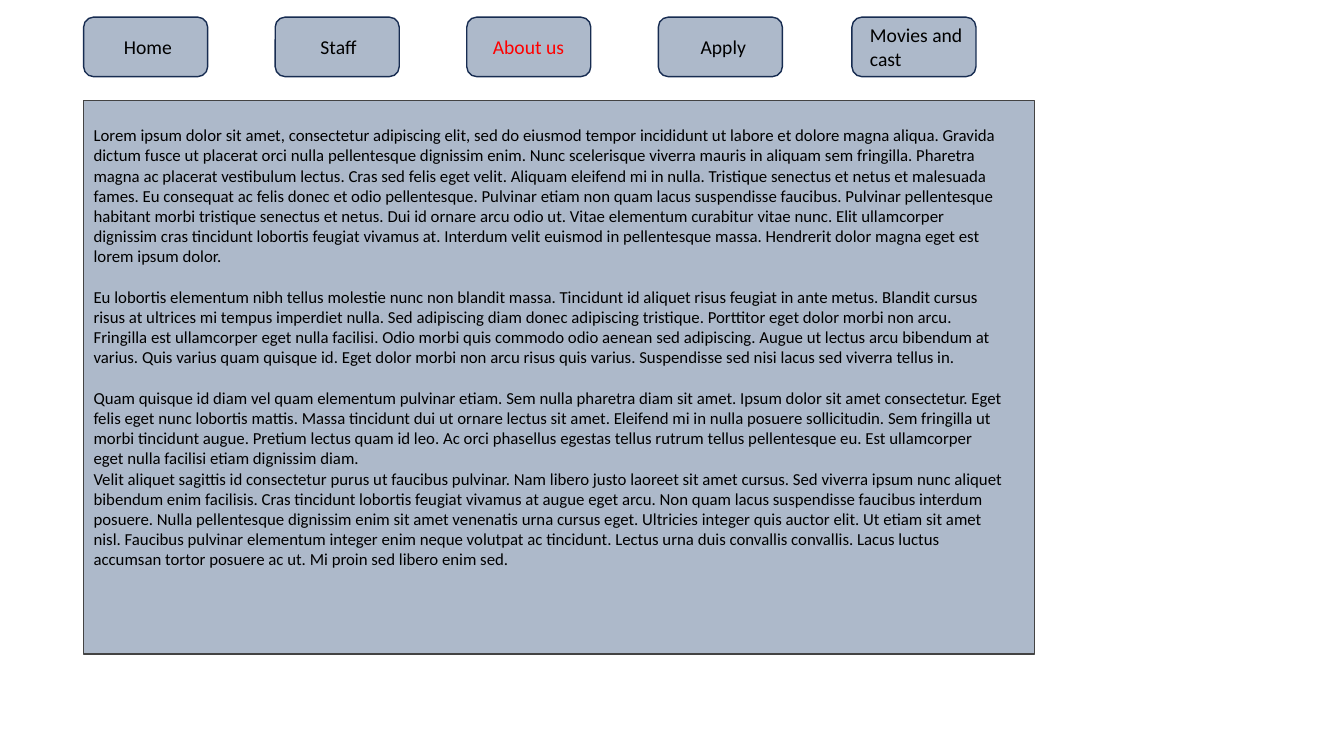
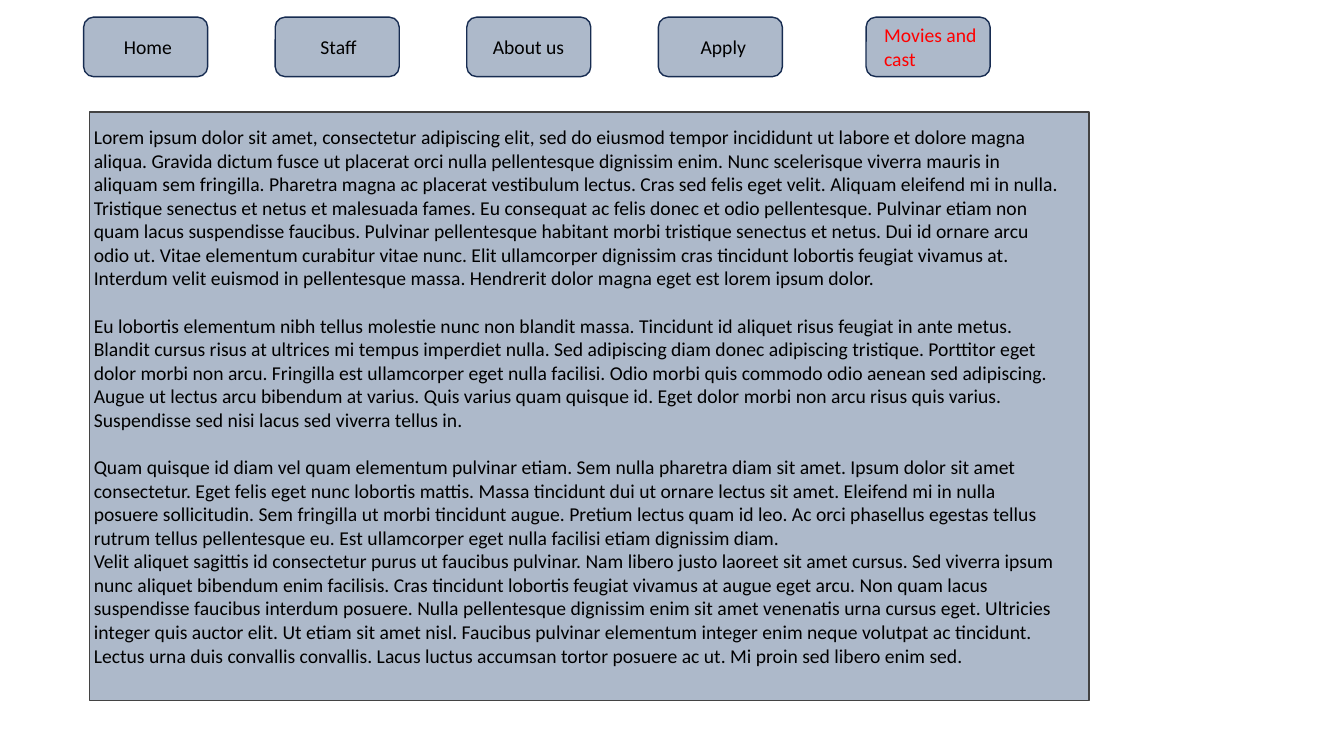
from pptx import Presentation
from pptx.dml.color import RGBColor
from pptx.enum.shapes import MSO_SHAPE
from pptx.enum.text import MSO_ANCHOR, PP_ALIGN
from pptx.util import Inches, Pt

RECT = MSO_SHAPE.RECTANGLE
ROUND = MSO_SHAPE.ROUNDED_RECTANGLE
TOP = MSO_ANCHOR.TOP
MIDDLE = MSO_ANCHOR.MIDDLE
LEFT = PP_ALIGN.LEFT

FILL = RGBColor(0xAD, 0xB9, 0xCA)
NAVY = RGBColor(0x17, 0x2C, 0x51)
GREY = RGBColor(0x43, 0x43, 0x43)
BLACK = RGBColor(0, 0, 0)
RED = RGBColor(0xFF, 0, 0)
FONT = "Calibri"

TABS = [
    ("Home", 0.37),
    ("Staff", 0.42),
    ("About us", 0.23),
    ("Apply", 0.39),
    ("Movies and cast", 0.15),
]
TAB_LEFT, TAB_STEP = 0.83, 1.9

FIRST = (
    "Lorem ipsum dolor sit amet, consectetur adipiscing elit, sed do eiusmod tempor "
    "incididunt ut labore et dolore magna aliqua. Gravida dictum fusce ut placerat orci "
    "nulla pellentesque dignissim enim. Nunc scelerisque viverra mauris in aliquam sem "
    "fringilla. Pharetra magna ac placerat vestibulum lectus. Cras sed felis eget velit. "
    "Aliquam eleifend mi in nulla. Tristique senectus et netus et malesuada fames.",
    "Eu consequat ac felis donec et odio pellentesque. Pulvinar etiam non quam lacus "
    "suspendisse faucibus. Pulvinar pellentesque habitant morbi tristique senectus et "
    "netus. Dui id ornare arcu odio ut. Vitae elementum curabitur vitae nunc. Elit "
    "ullamcorper dignissim cras tincidunt lobortis feugiat vivamus at. Interdum velit "
    "euismod in pellentesque massa. Hendrerit dolor magna eget est lorem ipsum dolor.",
)
LOREM = (
    " ".join(FIRST),
    "Eu lobortis elementum nibh tellus molestie nunc non blandit massa. Tincidunt id "
    "aliquet risus feugiat in ante metus. Blandit cursus risus at ultrices mi tempus "
    "imperdiet nulla. Sed adipiscing diam donec adipiscing tristique. Porttitor eget "
    "dolor morbi non arcu. Fringilla est ullamcorper eget nulla facilisi. Odio morbi "
    "quis commodo odio aenean sed adipiscing. Augue ut lectus arcu bibendum at varius. "
    "Quis varius quam quisque id. Eget dolor morbi non arcu risus quis varius. "
    "Suspendisse sed nisi lacus sed viverra tellus in.",
    "Quam quisque id diam vel quam elementum pulvinar etiam. Sem nulla pharetra diam sit "
    "amet. Ipsum dolor sit amet consectetur. Eget felis eget nunc lobortis mattis. Massa "
    "tincidunt dui ut ornare lectus sit amet. Eleifend mi in nulla posuere sollicitudin. "
    "Sem fringilla ut morbi tincidunt augue. Pretium lectus quam id leo. Ac orci "
    "phasellus egestas tellus rutrum tellus pellentesque eu. Est ullamcorper eget nulla "
    "facilisi etiam dignissim diam.",
    "Velit aliquet sagittis id consectetur purus ut faucibus pulvinar. Nam libero justo "
    "laoreet sit amet cursus. Sed viverra ipsum nunc aliquet bibendum enim facilisis. "
    "Cras tincidunt lobortis feugiat vivamus at augue eget arcu. Non quam lacus "
    "suspendisse faucibus interdum posuere. Nulla pellentesque dignissim enim sit amet "
    "venenatis urna cursus eget. Ultricies integer quis auctor elit. Ut etiam sit amet "
    "nisl. Faucibus pulvinar elementum integer enim neque volutpat ac tincidunt. Lectus "
    "urna duis convallis convallis. Lacus luctus accumsan tortor posuere ac ut. Mi proin "
    "sed libero enim sed.",
)
GAPS = (True, True, False, False)


def write(shape, texts, size=14, color=BLACK, anchor=MIDDLE, inset=(0, 0, 0, 0), gaps=(False,)):
    frame = shape.text_frame
    frame.word_wrap = True
    frame.vertical_anchor = anchor
    (frame.margin_left, frame.margin_top,
     frame.margin_right, frame.margin_bottom) = map(Inches, inset)
    for i, (text, gap) in enumerate(zip(texts, gaps)):
        para = frame.paragraphs[0] if i == 0 else frame.add_paragraph()
        para.alignment = LEFT
        para.space_after = Pt(round(size * 1.22, 1) if gap else 0)
        run = para.add_run()
        run.text = text
        run.font.name = FONT
        run.font.size = Pt(size)
        run.font.color.rgb = color


class Deck:
    def __init__(self):
        self.show = Presentation()
        self.show.slide_width = Inches(13.33)
        self.show.slide_height = Inches(7.5)
        self.slide = None

    def page(self):
        self.slide = self.show.slides.add_slide(self.show.slide_layouts[6])

    def box(self, kind, place, line):
        shape = self.slide.shapes.add_shape(kind, *map(Inches, place))
        shape.shadow.inherit = False
        shape.fill.solid()
        shape.fill.fore_color.rgb = FILL
        shape.line.color.rgb = line
        shape.line.width = Pt(1)
        return shape

    def menu(self, active, last):
        for i, (name, pad) in enumerate(TABS):
            left = last if i == len(TABS) - 1 else TAB_LEFT + i * TAB_STEP
            tab = self.box(ROUND, (left, 0.17, 1.23, 0.59), NAVY)
            write(tab, [name], color=RED if name == active else BLACK,
                  inset=(pad, 0, 0.05, 0))

    def panel(self, place, size, inset):
        body = self.box(RECT, place, GREY)
        write(body, LOREM, size=size, anchor=TOP, inset=inset, gaps=GAPS)


def main():
    deck = Deck()
    deck.page()
    deck.menu("About us", 8.45)
    deck.panel((0.83, 1, 9.43, 5.49), 12, (0.1, 0.24, 0.27, 0.05))
    deck.page()
    deck.menu("Movies and cast", 8.59)
    deck.panel((0.89, 1.11, 9.91, 5.84), 14, (0.04, 0.13, 0.23, 0.05))
    deck.show.save("out.pptx")


if __name__ == "__main__":
    main()
